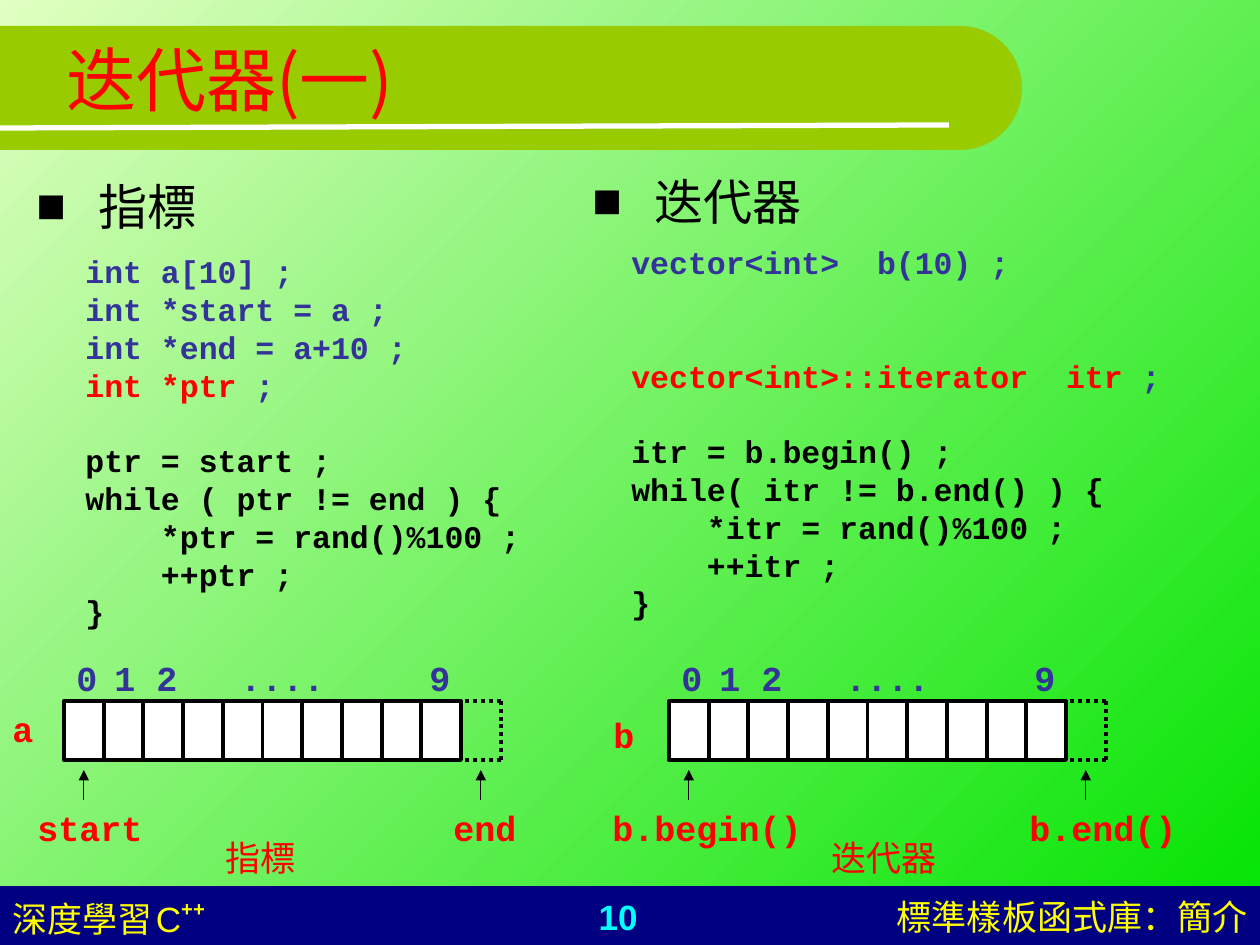
from math import cos, pi, sin

from lxml.etree import SubElement
from pptx import Presentation
from pptx.dml.color import RGBColor
from pptx.enum.dml import MSO_LINE
from pptx.enum.shapes import MSO_CONNECTOR, MSO_SHAPE
from pptx.enum.text import MSO_ANCHOR, PP_ALIGN
from pptx.oxml.ns import qn
from pptx.util import Pt

EMU_PER_PX = 914400 / 126
RED, BLUE, BLACK, WHITE, YELLOW = "FF0000", "333399", "000000", "FFFFFF", "FFFF00"
CODE_FONT, TEXT_FONT, COLON_FONT = "Courier New", "Arial", "Noto Sans CJK TC"
CODE_LINE = 21.6  # points
ARRAY_TOP, ARRAY_WIDTH, ARRAY_HEIGHT, CELLS = 701, 397, 59, 10
INDEX_TABS = (38, 80, 164, 353)

POINTER_CODE = [
    [("int a[10] ;", BLUE)],
    [("int *start = a ;", BLUE)],
    [("int *end = a+10 ;", BLUE)],
    [("int *ptr", RED), (" ;", BLUE)],
    [],
    [("ptr = start ;", BLACK)],
    [("while ( ptr != end ) {", BLACK)],
    [("    *ptr = rand()%100 ;", BLACK)],
    [("    ++ptr ;", BLACK)],
    [("}", BLACK)],
]
ITERATOR_CODE = [
    [("vector<int>  b(10) ;", BLUE)],
    [],
    [],
    [("vector<int>::iterator  itr", RED), (" ;", BLUE)],
    [],
    [("itr = b.begin() ;", BLACK)],
    [("while( itr != b.end() ) {", BLACK)],
    [("    *itr = rand()%100 ;", BLACK)],
    [("    ++itr ;", BLACK)],
    [("}", BLACK)],
]


def px(length):
    return round(length * EMU_PER_PX)


def rgb(value):
    return RGBColor.from_string(value)


def set_font(font, size, color, name, bold=False):
    font.size = Pt(size)
    font.color.rgb = rgb(color)
    font.name = name
    font.bold = bold


def set_background(slide):
    fill = slide.background.fill
    fill.gradient()
    fill.gradient_angle = 315
    for stop, color in zip(fill.gradient_stops, ("E0FFC1", "00E400")):
        stop.color.rgb = rgb(color)


def fill_shape(shape, color, outline=None):
    shape.shadow.inherit = False
    shape.fill.solid()
    shape.fill.fore_color.rgb = rgb(color)
    if outline:
        shape.line.color.rgb = rgb(outline)
        shape.line.width = Pt(2.25)
    else:
        shape.line.fill.background()


def add_rectangle(shapes, left, top, width, height, color, outline=None):
    shape = shapes.add_shape(
        MSO_SHAPE.RECTANGLE, px(left), px(top), px(width), px(height))
    fill_shape(shape, color, outline)


def add_line(shapes, start, end, color=BLACK, width=2.25, dotted=False, arrow=False):
    connector = shapes.add_connector(
        MSO_CONNECTOR.STRAIGHT, *(px(length) for length in (*start, *end)))
    line = connector.line
    line.color.rgb = rgb(color)
    line.width = Pt(width)
    if dotted:
        line.dash_style = MSO_LINE.ROUND_DOT
    properties = connector._element.spPr
    if arrow:
        SubElement(properties.find(qn("a:ln")), qn("a:tailEnd"), type="triangle")
    SubElement(properties, qn("a:effectLst"))


def add_text_frame(slide, left, top, width, height, wrap=False):
    frame = slide.shapes.add_textbox(
        px(left), px(top), px(width), px(height)).text_frame
    frame.word_wrap = wrap
    return frame


def add_text(slide, box, runs, size, color, name=TEXT_FONT, bold=False,
             align=PP_ALIGN.LEFT, wrap=False):
    """Add one paragraph and return its frame."""
    frame = add_text_frame(slide, *box, wrap=wrap)
    paragraph = frame.paragraphs[0]
    paragraph.alignment = align
    for text in runs:
        paragraph.add_run().text = text
    set_font(paragraph.font, size, color, name, bold)
    return frame


def add_label(slide, left, top, width, text, bold=True):
    add_text(slide, (left, top, width, 55), [text], 20, RED, CODE_FONT, bold)


def add_heading(slide, left, top, text):
    frame = add_text_frame(slide, left, top, 358, 73, wrap=True)
    paragraph = frame.paragraphs[0]
    paragraph.add_run().text = text
    properties = paragraph._p.get_or_add_pPr()
    properties.set("marL", str(px(62)))
    properties.set("indent", str(-px(62)))
    SubElement(SubElement(properties, qn("a:buClr")), qn("a:srgbClr"), val=BLACK)
    SubElement(properties, qn("a:buFont"), typeface=TEXT_FONT)
    SubElement(properties, qn("a:buChar"), char="■")
    set_font(paragraph.font, 28, BLACK, CODE_FONT)


def add_code(slide, left, top, width, lines):
    """Add code; an empty line becomes space before the next one."""
    frame = add_text_frame(slide, left, top, width, 391)
    paragraph, skipped = frame.paragraphs[0], 0
    for number, line in enumerate(lines):
        if not line:
            skipped += 1
            continue
        if number:
            paragraph = frame.add_paragraph()
        paragraph.line_spacing = Pt(CODE_LINE)
        if skipped:
            paragraph.space_before = Pt(CODE_LINE * skipped)
        skipped = 0
        set_font(paragraph.font, 18, line[0][1], CODE_FONT, bold=True)
        for text, color in line:
            run = paragraph.add_run()
            run.text = text
            if color != line[0][1]:
                run.font.color.rgb = rgb(color)


def add_indices(slide, left):
    frame = add_text_frame(slide, left, 650, 420, 55)
    paragraph = frame.paragraphs[0]
    paragraph.add_run().text = "0\t1\t2\t....\t9"
    tabs = SubElement(paragraph._p.get_or_add_pPr(), qn("a:tabLst"))
    for position in INDEX_TABS:
        SubElement(tabs, qn("a:tab"), pos=str(px(position)), algn="l")
    set_font(paragraph.font, 20, BLUE, CODE_FONT, bold=True)


def add_array(slide, left):
    """Draw the cells, the dotted cell past the end, and the two arrows."""
    cell = ARRAY_WIDTH / CELLS
    bottom = ARRAY_TOP + ARRAY_HEIGHT
    past_end = left + ARRAY_WIDTH + cell
    shapes = slide.shapes.add_group_shape().shapes
    add_rectangle(shapes, left, ARRAY_TOP, ARRAY_WIDTH, ARRAY_HEIGHT, WHITE, BLACK)
    for index in range(1, CELLS + 1):
        x = left + index * cell
        add_line(shapes, (x, ARRAY_TOP), (x, bottom))
    add_line(shapes, (past_end, ARRAY_TOP), (past_end, bottom), dotted=True)
    for y in (ARRAY_TOP, bottom):
        add_line(shapes, (past_end, y), (past_end - 44, y), dotted=True)
    for x in (left + cell / 2, past_end - cell / 2):
        add_line(slide.shapes, (x, 800), (x, 770), width=0.75, arrow=True)
    add_indices(slide, left)


def add_title(slide):
    center_x, center_y, radius, steps = 960, 88, 62, 48
    arc = [(px(center_x + radius * sin(pi * step / steps)),
            px(center_y - radius * cos(pi * step / steps)))
           for step in range(steps + 1)]
    builder = slide.shapes.build_freeform(0, px(center_y - radius))
    builder.add_line_segments([*arc, (0, px(center_y + radius))])
    fill_shape(builder.convert_to_shape(), "99CC00")
    add_line(slide.shapes, (0, 128), (949, 125), WHITE, 3)
    frame = add_text(slide, (54, 0, 1134, 156), ["迭代器", "(一)"], 40, RED, wrap=True)
    frame.vertical_anchor = MSO_ANCHOR.MIDDLE
    frame.paragraphs[0].runs[1].font.name = "Noto Sans CJK SC"


def add_footer(slide):
    add_rectangle(slide.shapes, 0, 886, 1260, 59, "000080")
    add_text(slide, (471, 889, 294, 55), ["10"], 20, "00FFFF", bold=True,
             align=PP_ALIGN.CENTER, wrap=True)
    section = add_text(slide, (779, 889, 481, 55), ["標準樣板函式庫", "：", "簡介"],
                       20, YELLOW, align=PP_ALIGN.RIGHT, wrap=True)
    colon = section.paragraphs[0].runs[1].font
    colon.name = COLON_FONT
    SubElement(colon._element, qn("a:ea"), typeface=COLON_FONT)
    book = add_text(slide, (0, 890, 294, 55), ["深度學習", " ", "C", "++"],
                    20, YELLOW, wrap=True)
    _, gap, _, plus = book.paragraphs[0].runs
    gap.font.size = Pt(8)
    plus.font.bold = True
    plus.font._element.set("baseline", "46000")


def main():
    presentation = Presentation()
    presentation.slide_width, presentation.slide_height = px(1260), px(945)
    slide = presentation.slides.add_slide(presentation.slide_layouts[6])
    set_background(slide)
    add_footer(slide)
    add_title(slide)
    add_heading(slide, 24, 170, "指標")
    add_heading(slide, 580, 165, "迭代器")
    add_code(slide, 73, 246, 480, POINTER_CODE)
    add_code(slide, 619, 237, 580, ITERATOR_CODE)
    for left in (64, 669):
        add_array(slide, left)
    for left, top, width, text in (
            (25, 800, 140, "start"), (441, 800, 98, "end"),
            (600, 800, 230, "b.begin()"), (1017, 800, 190, "b.end()"),
            (0, 701, 50, "a"), (601, 707, 50, "b")):
        add_label(slide, left, top, width, text)
    add_label(slide, 213, 830, 105, "指標", bold=False)
    add_label(slide, 819, 830, 140, "迭代器", bold=False)
    presentation.save("out.pptx")


if __name__ == "__main__":
    main()
